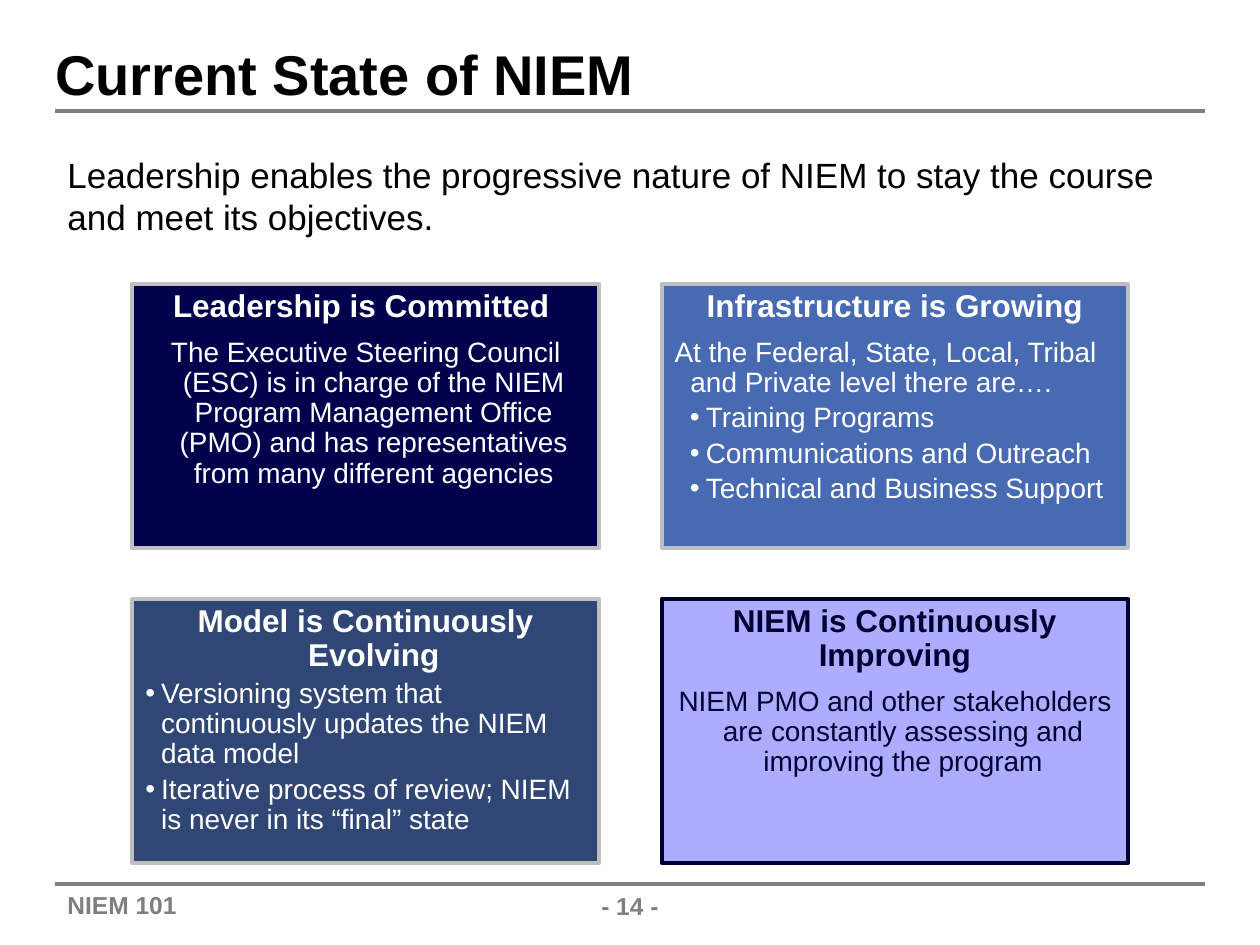
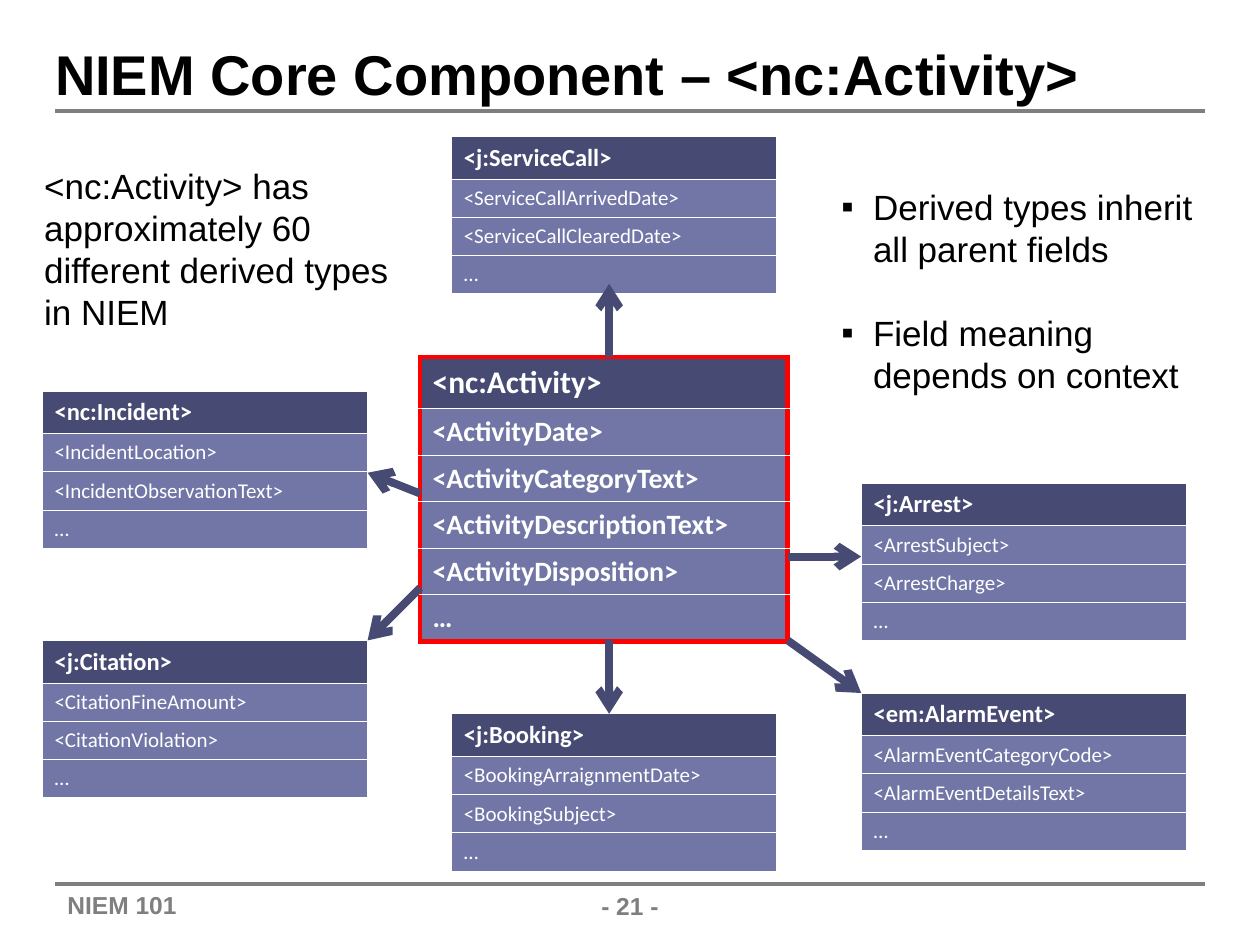
from dataclasses import dataclass
from typing import Any, NamedTuple

from lxml.etree import SubElement
from pptx import Presentation
from pptx.dml.color import RGBColor
from pptx.enum.shapes import MSO_CONNECTOR, MSO_SHAPE
from pptx.enum.text import MSO_ANCHOR, PP_ALIGN
from pptx.oxml.ns import qn
from pptx.util import Cm, Pt

BLACK, WHITE, GREY, RED = "000000", "FFFFFF", "7F7F7F", "FF0000"
SILVER, INK = "BFBFBF", "000033"
HEADER_FILL, ROW_FILL = "474B73", "7176A6"
MARGIN_LEFT, MARGIN_RIGHT = 1.11, 24.29
TITLE_RULE, FOOTER_RULE = 2.23, 17.82
INSET = (0.25, 0.13)
CARD_LEFT, CARD_TOP = 2.67, 5.72
CARD_WIDTH, CARD_HEIGHT = 9.4, 5.33
CARD_STEP_X, CARD_STEP_Y = 10.67, 6.35


class Area(NamedTuple):
    """A rectangle in centimetres."""

    left: float
    top: float
    width: float
    height: float


class Arrow(NamedTuple):
    """An arrow from one point to another, in centimetres."""

    x1: float
    y1: float
    x2: float
    y2: float


@dataclass
class Line:
    """One body paragraph of a card."""

    text: str
    centred: bool = False
    bullet: str = ""
    indent: float = 0.33


@dataclass
class Card:
    """A coloured card with a heading and body lines."""

    heading: str
    fill: str
    lines: list[Line]
    border: str = SILVER
    ink: str = WHITE
    heading_after: float = 7.9
    heading_indent: float = 0


@dataclass
class TypeTable:
    """A one-column table naming a type and its fields."""

    left: float
    top: float
    name: str
    fields: list[str]
    width: float = 6.55
    header_height: float = 0.86
    row_height: float = 0.76
    header_size: float = 14
    row_size: float = 12
    bold_rows: bool = False
    frame: str = ""


CARDS = [
    Card("Leadership is Committed ", "00004D", [
        Line("The Executive Steering Council (ESC) is in charge of the NIEM Program Management "
             "Office (PMO) and has representatives from many different agencies", centred=True),
    ]),
    Card("Infrastructure is Growing", "476AB2", [
        Line("At the Federal, State, Local, Tribal and Private level there are…."),
        Line("Training Programs", bullet="•", indent=0.64),
        Line("Communications and Outreach", bullet="•", indent=0.64),
        Line("Technical and Business Support", bullet="•", indent=0.64),
    ]),
    Card("Model is Continuously Evolving", "304776", [
        Line("Versioning system that continuously updates the NIEM data model", bullet="•"),
        Line("Iterative process of review; NIEM is never in its “final” state", bullet="•"),
    ], heading_after=3.4, heading_indent=0.33),
    Card("NIEM is Continuously Improving", "ADADFF", [
        Line("NIEM PMO and other stakeholders are constantly assessing and improving the program",
             centred=True),
    ], border=INK, ink=INK),
]

TYPE_TABLES = [
    TypeTable(8.47, 7.2, "<nc:Activity>",
              ["<ActivityDate>", "<ActivityCategoryText>", "<ActivityDescriptionText>",
               "<ActivityDisposition>"],
              width=7.41, header_height=1.03, row_height=0.94, header_size=18, row_size=16,
              bold_rows=True, frame=RED),
    TypeTable(0.85, 7.88, "<nc:Incident>", ["<IncidentLocation>", "<IncidentObservationText>"]),
    TypeTable(9.1, 2.75, "<j:ServiceCall>",
              ["<ServiceCallArrivedDate>", "<ServiceCallClearedDate>"]),
    TypeTable(17.36, 9.74, "<j:Arrest>", ["<ArrestSubject>", "<ArrestCharge>"]),
    TypeTable(0.85, 12.91, "<j:Citation>", ["<CitationFineAmount>", "<CitationViolation>"]),
    TypeTable(9.1, 14.39, "<j:Booking>", ["<BookingArraignmentDate>", "<BookingSubject>"]),
    TypeTable(17.36, 13.97, "<em:AlarmEvent>",
              ["<AlarmEventCategoryCode>", "<AlarmEventDetailsText>"]),
]

ARROWS = [
    Arrow(12.28, 7.2, 12.28, 5.72),
    Arrow(15.88, 11.22, 17.36, 11.22),
    Arrow(15.88, 12.91, 17.36, 13.97),
    Arrow(8.47, 11.85, 7.41, 12.91),
    Arrow(8.47, 9.95, 7.41, 9.53),
    Arrow(12.28, 12.91, 12.28, 14.39),
]


def colour(value: str) -> RGBColor:
    """Turn a hex string into a colour."""
    return RGBColor.from_string(value)


def write(frame: Any, text: str, *, size: float, ink: str = BLACK, font: str = "Arial",
          bold: bool = False, align: PP_ALIGN = PP_ALIGN.LEFT, spacing: float = 1.0,
          after: float = 0, indent: float = 0, hang: float = 0, bullet: str = "") -> None:
    """Write one formatted paragraph at the end of a text frame."""
    para = frame.add_paragraph() if frame.text else frame.paragraphs[0]
    para.alignment, para.line_spacing, para.space_after = align, spacing, Pt(after)
    properties = para._p.get_or_add_pPr()
    properties.set("marL", str(Cm(indent)))
    properties.set("indent", str(-Cm(hang)))
    if bullet:
        SubElement(properties, qn("a:buFont"), typeface="Arial")
        SubElement(properties, qn("a:buChar"), char=bullet)
    span = para.add_run()
    span.text = text
    span.font.name, span.font.size, span.font.bold = font, Pt(size), bold
    span.font.color.rgb = colour(ink)


def set_margins(target: Any, inset: tuple[float, float]) -> None:
    """Set the inner margins of a text frame or a cell."""
    target.margin_left = target.margin_right = Cm(inset[0])
    target.margin_top = target.margin_bottom = Cm(inset[1])


def add_box(page: Any, area: Area, inset: tuple[float, float] = INSET,
            anchor: MSO_ANCHOR = MSO_ANCHOR.TOP) -> Any:
    """Add a wrapping text box and return its frame."""
    frame = page.shapes.add_textbox(*map(Cm, area)).text_frame
    frame.word_wrap, frame.vertical_anchor = True, anchor
    set_margins(frame, inset)
    return frame


def add_line(page: Any, ends: Arrow, ink: str, width: float, head: bool = False) -> None:
    """Draw a straight line, with an arrowhead at its end if asked."""
    line = page.shapes.add_connector(MSO_CONNECTOR.STRAIGHT, *map(Cm, ends))
    line.line.color.rgb, line.line.width = colour(ink), Pt(width)
    if head:
        SubElement(line.line._get_or_add_ln(), qn("a:tailEnd"), type="arrow")
    SubElement(line._element.spPr, qn("a:effectLst"))


def add_page(deck: Any, title: str, number: int) -> Any:
    """Add a page with its title, rules and footer."""
    page = deck.slides.add_slide(deck.slide_layouts[6])
    for height in (TITLE_RULE, FOOTER_RULE):
        add_line(page, Arrow(MARGIN_LEFT, height, MARGIN_RIGHT, height), GREY, 2.25)
    write(add_box(page, Area(MARGIN_LEFT, FOOTER_RULE, 3.25, 0.87)), "NIEM 101",
          size=14, ink=GREY, bold=True)
    write(add_box(page, Area(11.2, 17.98, 3, 0.58), (0, 0), MSO_ANCHOR.BOTTOM), f"- {number} -",
          size=14, ink=GREY, bold=True, align=PP_ALIGN.CENTER)
    write(add_box(page, Area(MARGIN_LEFT, 1.14, 20.9, 1.02), (0, 0), MSO_ANCHOR.BOTTOM), title,
          size=32, bold=True)
    return page


def add_card(page: Any, card: Card, area: Area) -> None:
    """Draw one card."""
    box = page.shapes.add_shape(MSO_SHAPE.RECTANGLE, *map(Cm, area))
    box.shadow.inherit = False
    box.fill.solid()
    box.fill.fore_color.rgb = colour(card.fill)
    box.line.color.rgb, box.line.width = colour(card.border), Pt(2.25)
    frame = box.text_frame
    frame.word_wrap, frame.vertical_anchor = True, MSO_ANCHOR.TOP
    set_margins(frame, INSET)
    write(frame, card.heading, size=18, ink=card.ink, bold=True, align=PP_ALIGN.CENTER,
          spacing=0.9, after=card.heading_after, indent=card.heading_indent,
          hang=card.heading_indent)
    for line in card.lines:
        write(frame, line.text, size=16, ink=card.ink, spacing=0.9, after=3,
              align=PP_ALIGN.CENTER if line.centred else PP_ALIGN.LEFT,
              indent=line.indent, hang=0.32, bullet=line.bullet)


def add_border(cell: Any, side: str, ink: str, width: float) -> None:
    """Draw one side of a cell."""
    line = SubElement(cell._tc.get_or_add_tcPr(), qn(f"a:ln{side}"), w=str(Pt(width)))
    SubElement(SubElement(line, qn("a:solidFill")), qn("a:srgbClr"), val=ink)


def add_type_table(page: Any, item: TypeTable) -> None:
    """Draw the table of one type."""
    texts = [item.name, *item.fields, "…"]
    last = len(texts) - 1
    area = Area(item.left, item.top, item.width, item.header_height + last * item.row_height)
    table = page.shapes.add_table(len(texts), 1, *map(Cm, area)).table
    table.first_row = table.horz_banding = False
    for index, text in enumerate(texts):
        header = index == 0
        table.rows[index].height = Cm(item.header_height if header else item.row_height)
        cell = table.cell(index, 0)
        set_margins(cell, INSET)
        outer = {"L": True, "R": True, "T": header, "B": index == last}
        for side, is_outer in outer.items():
            framed = is_outer and item.frame
            add_border(cell, side, item.frame if framed else WHITE, 3 if framed else 0.45)
        cell.fill.solid()
        cell.fill.fore_color.rgb = colour(HEADER_FILL if header else ROW_FILL)
        write(cell.text_frame, text, size=item.header_size if header else item.row_size,
              ink=WHITE, font="Calibri", bold=header or item.bold_rows)


def build_state_page(deck: Any) -> None:
    """Build the page on the current state."""
    page = add_page(deck, "Current State of NIEM", 14)
    write(add_box(page, Area(MARGIN_LEFT, 2.97, 23.22, 2.6)),
          "Leadership enables the progressive nature of NIEM to stay the course "
          "and meet its objectives.", size=20)
    for index, card in enumerate(CARDS):
        row, column = divmod(index, 2)
        add_card(page, card, Area(CARD_LEFT + column * CARD_STEP_X, CARD_TOP + row * CARD_STEP_Y,
                                  CARD_WIDTH, CARD_HEIGHT))


def build_activity_page(deck: Any) -> None:
    """Build the page on the activity type."""
    page = add_page(deck, "NIEM Core Component – <nc:Activity>", 21)
    for item in TYPE_TABLES:
        add_type_table(page, item)
    for arrow in ARROWS:
        add_line(page, arrow, HEADER_FILL, 4.5, head=True)
    write(add_box(page, Area(0.64, 3.18, 7.82, 3.66)),
          "<nc:Activity> has approximately 60 different derived types in NIEM", size=20)
    notes = add_box(page, Area(16.71, 3.6, 7.62, 4.5))
    for text in ("Derived types inherit all parent fields", "Field meaning depends on context"):
        write(notes, text, size=20, after=24, indent=0.64, hang=0.64, bullet="▪")


def main() -> None:
    """Build and save the deck."""
    deck = Presentation()
    deck.slide_width, deck.slide_height = Cm(25.4), Cm(19.05)
    build_state_page(deck)
    build_activity_page(deck)
    deck.save("out.pptx")


if __name__ == "__main__":
    main()
